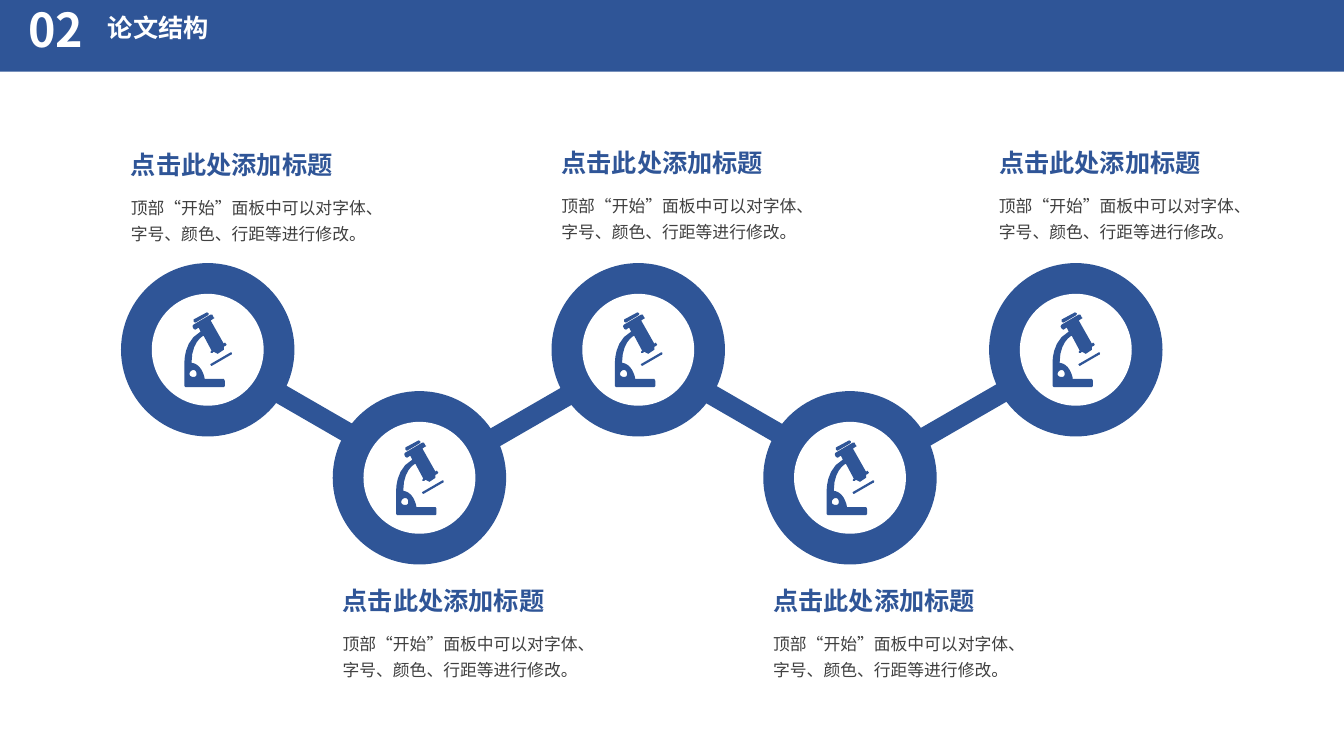
from dataclasses import dataclass

from lxml import etree
from pptx import Presentation
from pptx.dml.color import RGBColor
from pptx.enum.shapes import MSO_SHAPE
from pptx.enum.text import MSO_ANCHOR, MSO_AUTO_SIZE, PP_ALIGN
from pptx.oxml.ns import qn
from pptx.shapes.autoshape import Shape
from pptx.shapes.shapetree import GroupShapes, SlideShapes
from pptx.text.text import TextFrame
from pptx.util import Inches, Pt

RECT, OVAL = MSO_SHAPE.RECTANGLE, MSO_SHAPE.OVAL
TOP, MIDDLE = MSO_ANCHOR.TOP, MSO_ANCHOR.MIDDLE
LEFT = PP_ALIGN.LEFT
NO_AUTOFIT = MSO_AUTO_SIZE.NONE

BLUE = RGBColor(0x2F, 0x55, 0x97)
WHITE = RGBColor(0xFF, 0xFF, 0xFF)
GREY = RGBColor(0x40, 0x40, 0x40)
FONT = "Noto Sans CJK SC"

COLUMNS, ROWS = 1333, 750
CELL = Inches(0.01)
RING, HOLE = 172, 111
UPPER, LOWER = 261, 388
LINK_WIDTH, LINK_HEIGHT, LINK_ROW = 103, 20, 400
CURVE_STEPS = 6

HEADING = "点击此处添加标题"
DETAIL = "顶部“开始”面板中可以对字体、字号、颜色、行距等进行修改。"

EYEPIECE = (
    "M 72 58 C 73 59 73 59 74 59 L 86 52 C 87 51 87 51 87 50 "
    "C 86 49 85 49 85 49 L 72 56 C 72 57 72 57 72 58"
)
BODY = (
    "M 72 106 C 74 106 75 108 75 110 C 75 112 74 113 72 113 "
    "C 70 113 68 112 68 110 C 68 108 70 106 72 106 "
    "M 63 99 L 63 122 C 63 122 64 123 64 123 L 102 123 "
    "C 102 123 103 122 103 122 L 103 117 C 103 116 102 115 102 115 "
    "L 83 115 C 83 113 82 110 80 106 C 76 99 70 99 70 99 "
    "C 70 79 80 73 82 72 L 90 87 C 89 87 89 88 89 89 "
    "C 90 89 90 89 91 89 L 92 88 L 96 90 L 102 86 L 102 83 L 104 82 "
    "C 105 81 105 80 104 80 C 104 79 103 79 103 79 L 102 80 L 89 57 "
    "L 92 55 C 93 55 93 54 92 54 L 91 52 C 91 51 90 51 89 51 L 72 61 "
    "C 71 62 71 63 71 63 L 72 65 C 73 66 74 66 74 66 L 77 64 L 79 68 "
    "C 62 77 63 99 63 99"
)
STAGE = (
    "M 89 101 C 89 102 90 102 90 102 L 109 91 C 110 91 110 90 110 89 "
    "C 110 89 109 88 108 89 L 89 100 C 89 100 88 101 89 101"
)

Point = tuple[float, float]


@dataclass(frozen=True)
class Box:
    column: float
    row: float
    width: float
    height: float

    def emu(self) -> tuple[int, ...]:
        return tuple(round(n * CELL) for n in (self.column, self.row, self.width, self.height))


@dataclass(frozen=True)
class TextStyle:
    size: float
    color: RGBColor
    bold: bool = True
    spacing: float = 1.0


@dataclass(frozen=True)
class Step:
    column: int
    row: int
    heading_row: int


@dataclass(frozen=True)
class Link:
    column: int
    angle: int


STEPS = (
    Step(120, UPPER, 143),
    Step(330, LOWER, 576),
    Step(547, UPPER, 141),
    Step(757, LOWER, 576),
    Step(981, UPPER, 141),
)
LINKS = (Link(260, 30), Link(481, -30), Link(686, 30), Link(907, -30))

NUMBER_STYLE = TextStyle(33.3, WHITE, spacing=0.7)
TITLE_STYLE = TextStyle(18, WHITE, spacing=0.9)
HEADING_STYLE = TextStyle(18, BLUE)
DETAIL_STYLE = TextStyle(12, GREY, bold=False, spacing=1.3)


def paint(sp: Shape, color: RGBColor) -> None:
    sp.shadow.inherit = False
    sp.fill.solid()
    sp.fill.fore_color.rgb = color
    sp.line.fill.background()


def add_block(shapes: SlideShapes | GroupShapes, kind: MSO_SHAPE, box: Box, color: RGBColor) -> Shape:
    sp = shapes.add_shape(kind, *box.emu())
    paint(sp, color)
    return sp


def write(tf: TextFrame, text: str, style: TextStyle) -> None:
    tf.text = text
    p = tf.paragraphs[0]
    p.alignment = LEFT
    p.line_spacing = style.spacing
    p.space_before = Pt(0)
    p.font.size = Pt(style.size)
    p.font.bold = style.bold
    p.font.color.rgb = style.color
    p.font.name = FONT
    latin = next(p._p.iter(qn("a:latin")))
    east_asian = etree.Element(qn("a:ea"), typeface=FONT)
    latin.addnext(east_asian)


def add_text(shapes: SlideShapes, box: Box, text: str, style: TextStyle, wrap: bool = True) -> TextFrame:
    tf = shapes.add_textbox(*box.emu()).text_frame
    tf.word_wrap = wrap
    write(tf, text, style)
    return tf


def curve(start: Point, a: Point, b: Point, end: Point) -> list[Point]:
    points = []
    for i in range(1, CURVE_STEPS + 1):
        t = i / CURVE_STEPS
        weights = ((1 - t) ** 3, 3 * t * (1 - t) ** 2, 3 * t * t * (1 - t), t**3)
        corners = (start, a, b, end)
        points.append(tuple(sum(w * c[k] for w, c in zip(weights, corners)) for k in (0, 1)))
    return points


def contours(outline: str) -> list[list[Point]]:
    result = []
    for contour in outline.split("M")[1:]:
        points = []
        for segment in contour.replace("C", "L").split("L"):
            numbers = [float(n) for n in segment.split()]
            ends = list(zip(numbers[::2], numbers[1::2]))
            points += curve(points[-1], *ends) if len(ends) == 3 else ends
        result.append(points)
    return result


def add_outline(shapes: GroupShapes, step: Step, outline: str) -> None:
    builder = None
    for contour in contours(outline):
        first, *rest = [((step.column + x) * CELL, (step.row + y) * CELL) for x, y in contour]
        if builder is None:
            builder = shapes.build_freeform(*first)
        else:
            builder.move_to(*first)
        builder.add_line_segments(rest, close=True)
    paint(builder.convert_to_shape(), BLUE)


def add_step(shapes: SlideShapes, step: Step) -> None:
    group = shapes.add_group_shape().shapes
    inset = (RING - HOLE) / 2
    add_block(group, OVAL, Box(step.column, step.row, RING, RING), BLUE)
    add_block(group, OVAL, Box(step.column + inset, step.row + inset, HOLE, HOLE), WHITE)
    for outline in (EYEPIECE, BODY, STAGE):
        add_outline(group, step, outline)
    add_text(shapes, Box(step.column, step.heading_row, 222, 40), HEADING, HEADING_STYLE, wrap=False)
    add_text(shapes, Box(step.column, step.heading_row + 42, 277, 63), DETAIL, DETAIL_STYLE)


def main() -> None:
    prs = Presentation()
    prs.slide_width, prs.slide_height = COLUMNS * CELL, ROWS * CELL
    s = prs.slides.add_slide(prs.slide_layouts[5])

    title = s.shapes.title
    title.left, title.top, title.width, title.height = Box(97, 16, 418, 40).emu()
    tf = title.text_frame
    tf.auto_size = NO_AUTOFIT
    tf.vertical_anchor = TOP
    tf.margin_top = 0
    write(tf, "论文结构", TITLE_STYLE)

    bar = add_block(s.shapes, RECT, Box(0, 0, COLUMNS, 71), BLUE)
    title.element.addprevious(bar.element)
    number = add_text(s.shapes, Box(18, 9, 79, 53), "02", NUMBER_STYLE)
    number.vertical_anchor = MIDDLE

    for link in LINKS:
        sp = add_block(s.shapes, RECT, Box(link.column, LINK_ROW, LINK_WIDTH, LINK_HEIGHT), BLUE)
        sp.rotation = link.angle
    for step in STEPS:
        add_step(s.shapes, step)

    prs.save("out.pptx")


if __name__ == "__main__":
    main()
